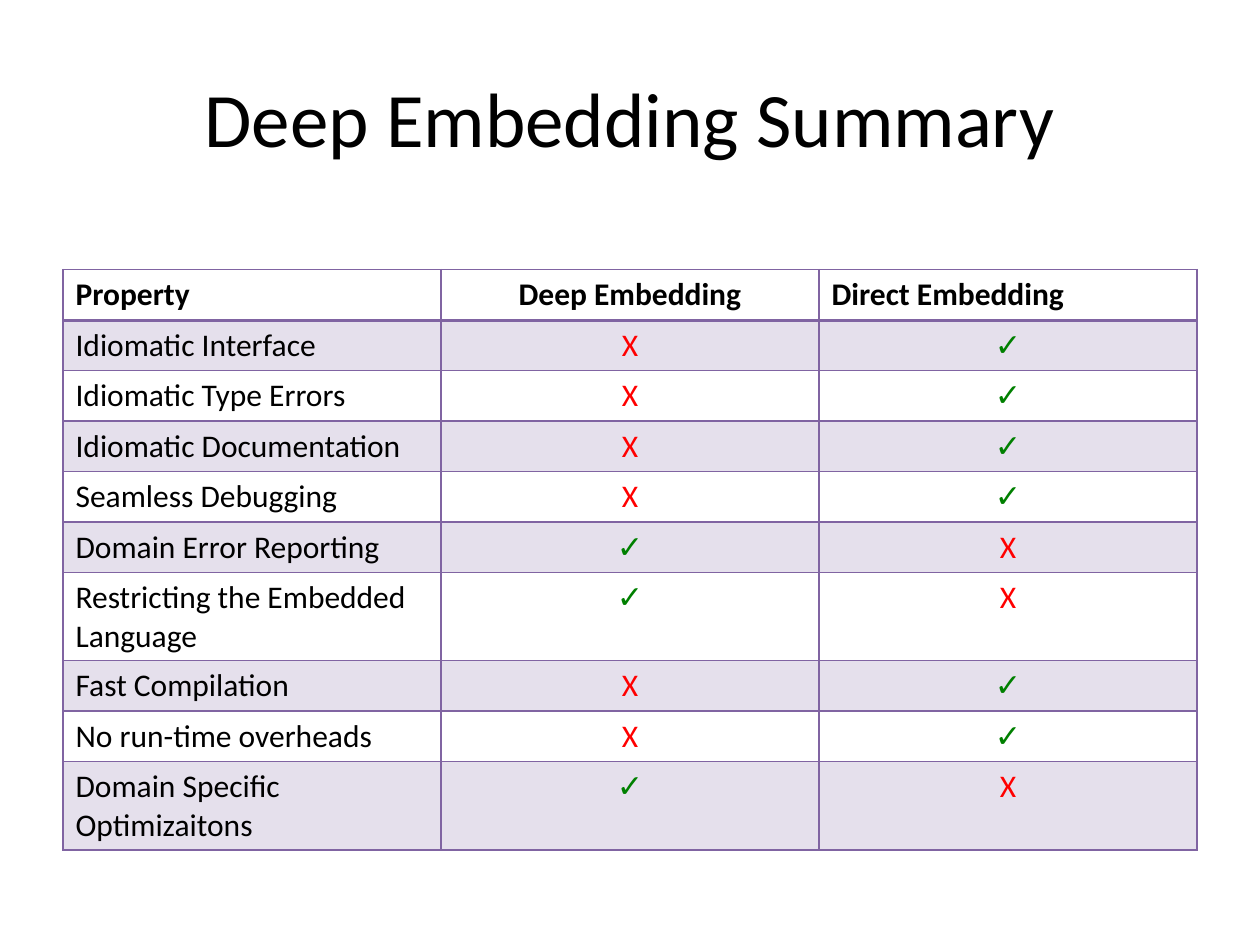
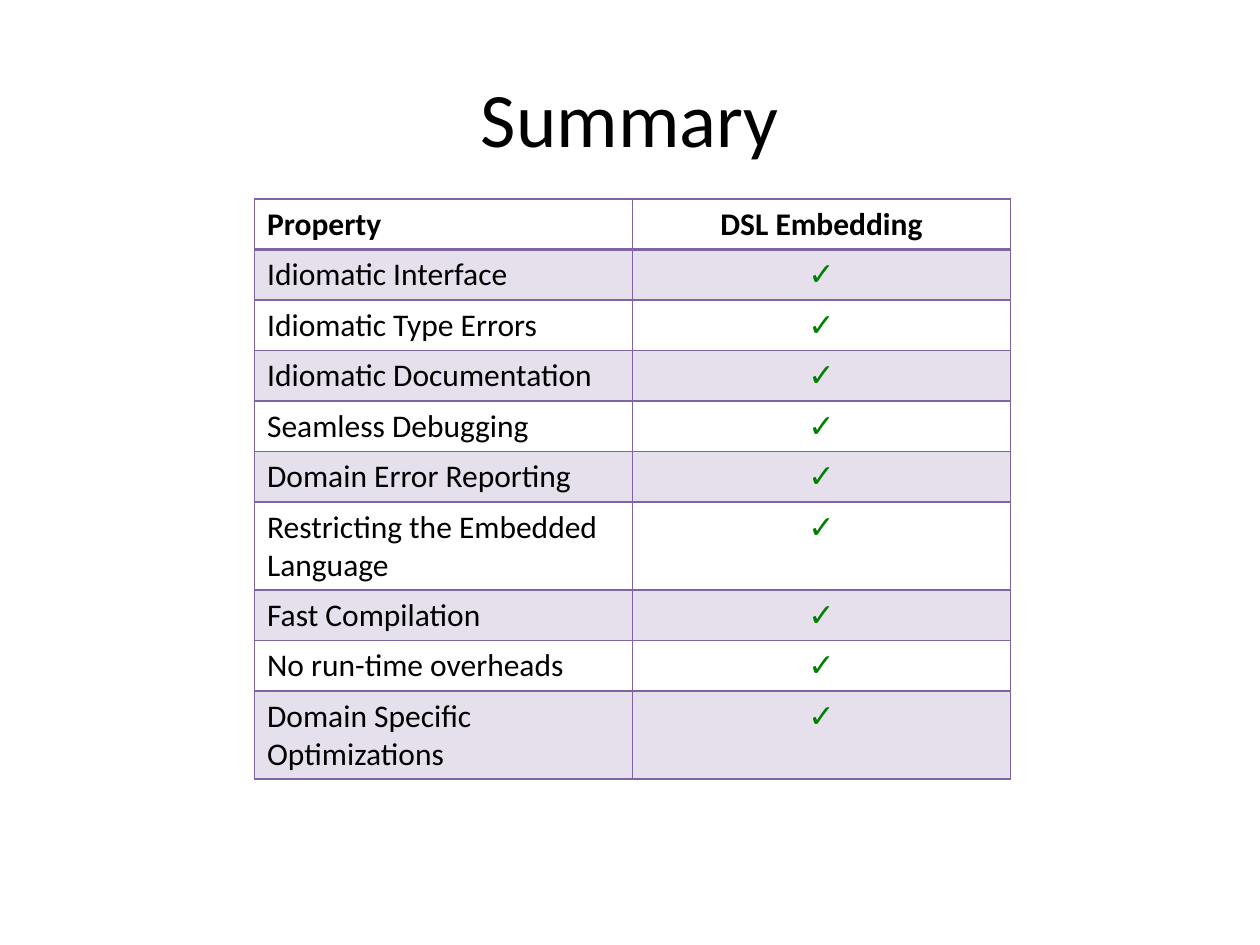
from dataclasses import dataclass

from lxml import etree
from pptx import Presentation
from pptx.dml.color import RGBColor
from pptx.enum.text import MSO_ANCHOR, PP_ALIGN
from pptx.oxml.ns import qn
from pptx.util import Inches, Pt

LEFT, CENTER = PP_ALIGN.LEFT, PP_ALIGN.CENTER
MIDDLE = MSO_ANCHOR.MIDDLE
YES, NO = "✓", "X"


@dataclass(frozen=True)
class Theme:
    font: str = "Calibri"
    title_size: int = 44
    body_size: int = 18
    text: str = "000000"
    accent: str = "8064A2"
    yes: str = "008000"
    no: str = "FF0000"
    band_alpha: int = 20
    rule: float = 1
    header_rule: float = 2


@dataclass(frozen=True)
class Column:
    heading: str
    marks: str
    align: PP_ALIGN = CENTER


@dataclass(frozen=True)
class Summary:
    title: str
    left: float
    top: float
    properties: list[str]
    columns: list[Column]


THEME = Theme()
COL_WIDTH = 3
ROW_HEIGHT = 0.4  # two-line rows grow to fit their text

PROPERTIES = [
    "Idiomatic Interface",
    "Idiomatic Type Errors",
    "Idiomatic Documentation",
    "Seamless Debugging",
    "Domain Error Reporting",
    "Restricting the Embedded Language",
    "Fast Compilation",
    "No run-time overheads",
]

SUMMARIES = [
    Summary("Deep Embedding Summary", 0.5, 2.14,
            PROPERTIES + ["Domain Specific Optimizaitons"],
            [Column("Deep Embedding", "XXXX✓✓XX✓"),
             Column("Direct Embedding", "✓✓✓✓XX✓✓X", LEFT)]),
    Summary("Summary", 2.02, 1.58,
            PROPERTIES + ["Domain Specific Optimizations"],
            [Column("DSL Embedding", YES * 9)]),
]


def write(tf, text: str, size: int, color: str, align: PP_ALIGN, bold: bool = False) -> None:
    p = tf.paragraphs[0]
    p.text = text
    p.alignment = align
    p.font.name = THEME.font
    p.font.size = Pt(size)
    p.font.bold = bold
    p.font.color.rgb = RGBColor.from_string(color)


def add_title(slide, text: str) -> None:
    tf = slide.shapes.add_textbox(Inches(0.5), Inches(0.3), Inches(9), Inches(1.25)).text_frame
    tf.word_wrap = True
    tf.vertical_anchor = MIDDLE
    write(tf, text, THEME.title_size, THEME.text, CENTER)


def set_borders(cell, top: float, bottom: float) -> None:
    tc_pr = cell._tc.get_or_add_tcPr()
    widths = {"a:lnL": THEME.rule, "a:lnR": THEME.rule, "a:lnT": top, "a:lnB": bottom}
    for tag, width in widths.items():
        ln = etree.SubElement(tc_pr, qn(tag), w=str(Pt(width)))
        fill = etree.SubElement(ln, qn("a:solidFill"))
        etree.SubElement(fill, qn("a:srgbClr"), val=THEME.accent)


def set_fill(cell, banded: bool) -> None:
    if not banded:
        cell.fill.background()
        return
    cell.fill.solid()
    cell.fill.fore_color.rgb = RGBColor.from_string(THEME.accent)
    color = cell._tc.tcPr.find(qn("a:solidFill")).find(qn("a:srgbClr"))
    etree.SubElement(color, qn("a:alpha"), val=str(THEME.band_alpha * 1000))


def add_summary_table(slide, summary: Summary) -> None:
    headings = ["Property"] + [c.heading for c in summary.columns]
    aligns = [LEFT] + [c.align for c in summary.columns]
    body = list(zip(summary.properties, *(c.marks for c in summary.columns)))
    rows = [headings] + body
    mark_colors = {YES: THEME.yes, NO: THEME.no}

    table = slide.shapes.add_table(
        len(rows), len(headings), Inches(summary.left), Inches(summary.top),
        Inches(COL_WIDTH * len(headings)), Inches(ROW_HEIGHT * len(rows))).table
    table.first_row = table.horz_banding = False

    for i, row in enumerate(rows):
        header = i == 0
        top = THEME.header_rule if i == 1 else THEME.rule
        bottom = THEME.header_rule if header else THEME.rule
        for j, text in enumerate(row):
            cell = table.cell(i, j)
            align = aligns[j] if header else CENTER if j else LEFT
            write(cell.text_frame, text, THEME.body_size,
                  mark_colors.get(text, THEME.text), align, header)
            set_borders(cell, top, bottom)
            set_fill(cell, i % 2 == 1)


def main() -> None:
    prs = Presentation()
    prs.slide_width, prs.slide_height = Inches(10), Inches(7.5)
    blank = prs.slide_layouts[6]
    for summary in SUMMARIES:
        slide = prs.slides.add_slide(blank)
        add_title(slide, summary.title)
        add_summary_table(slide, summary)
    prs.save("out.pptx")


if __name__ == "__main__":
    main()
